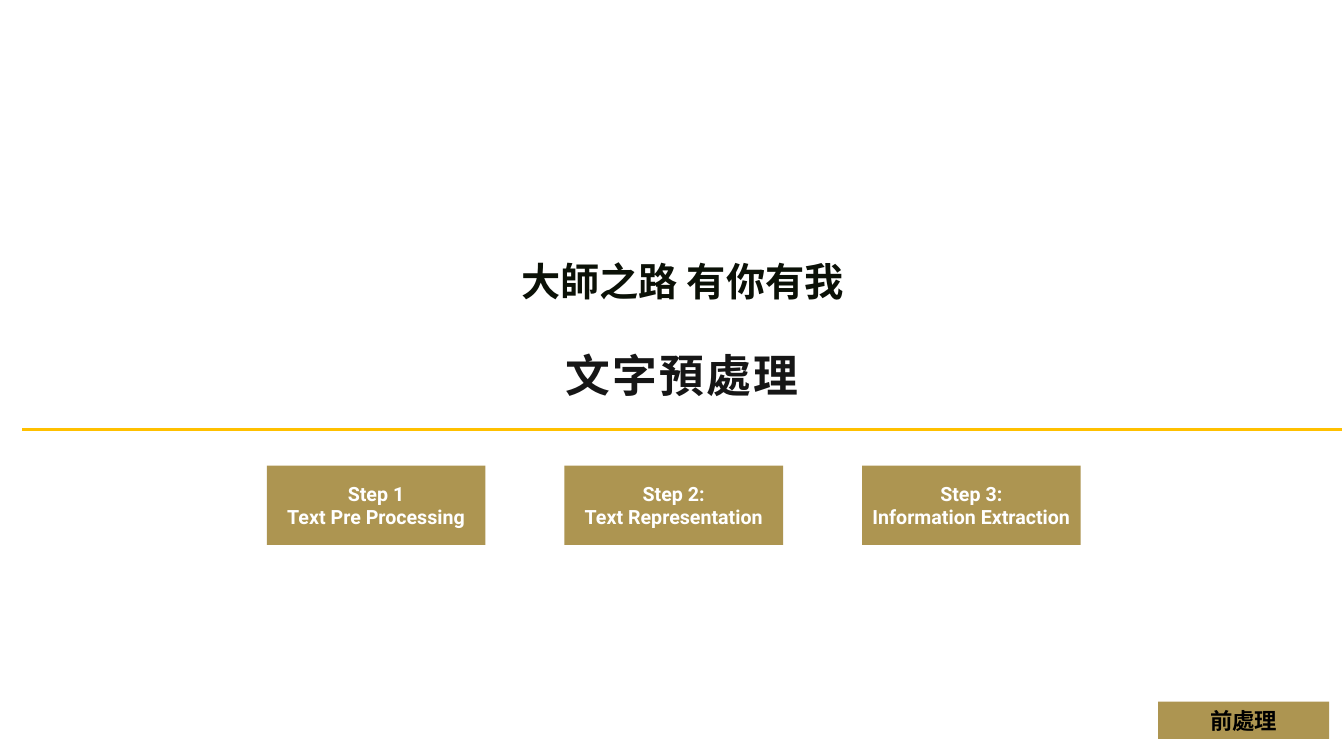
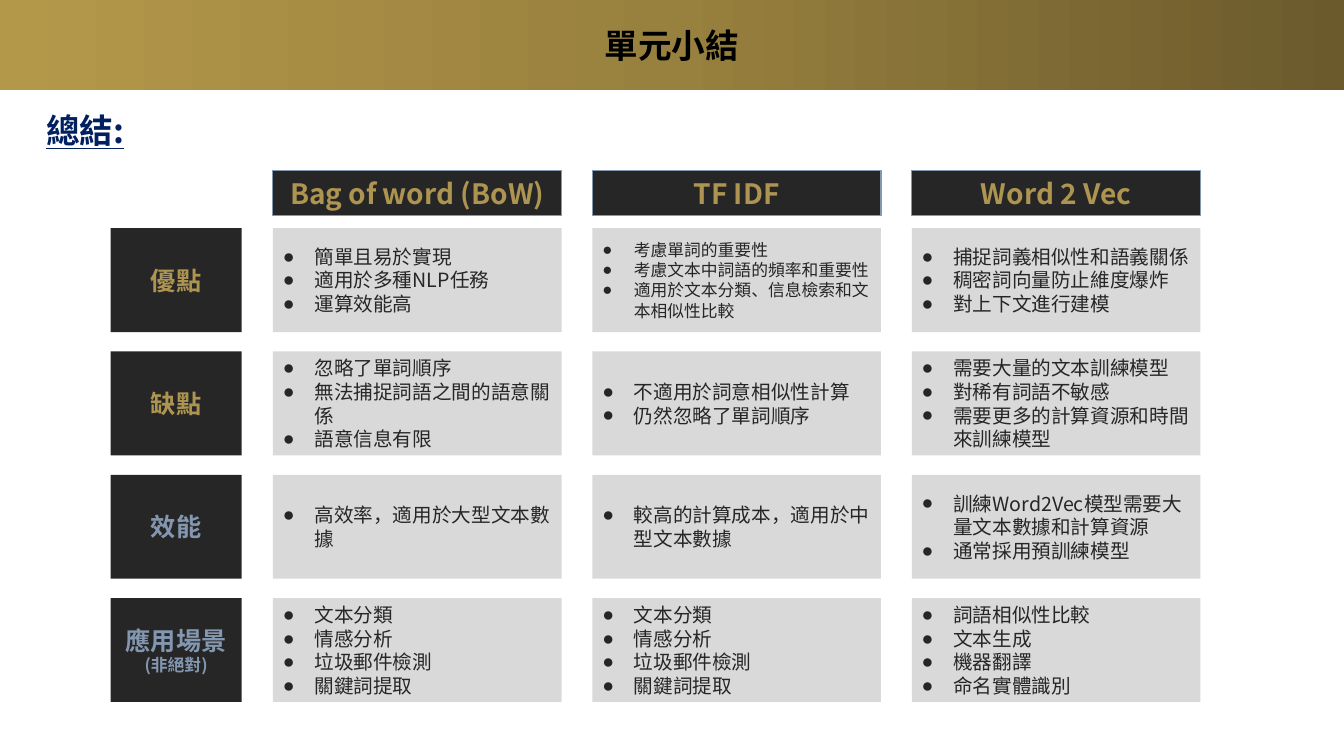
from copy import deepcopy

from lxml.etree import SubElement as Sub
from pptx import Presentation
from pptx.dml.color import RGBColor
from pptx.enum.shapes import MSO_CONNECTOR as Conn, MSO_SHAPE as Shape
from pptx.enum.text import MSO_ANCHOR as Anchor, MSO_AUTO_SIZE as Auto, PP_ALIGN as Align
from pptx.oxml.ns import qn
from pptx.util import Pt

GOLD, DARK, GREY, BLUE, BLACK = "AD9551", "262626", "D9D9D9", "8497B0", "000000"
CJK = "Noto Sans CJK SC"

HEADS = ["Bag of word (BoW)", "TF IDF", "Word 2 Vec"]
USES = ["文本分類", "情感分析", "垃圾郵件檢測", "關鍵詞提取"]
# Label, small note, label colour, one list of points per column
ROWS = [
    ("優點", "", GOLD, [
        ["簡單且易於實現", "適用於多種NLP任務", "運算效能高"],
        ["考慮單詞的重要性", "考慮文本中詞語的頻率和重要性",
         "適用於文本分類、信息檢索和文本相似性比較"],
        ["捕捉詞義相似性和語義關係", "稠密詞向量防止維度爆炸", "對上下文進行建模"]]),
    ("缺點", "", GOLD, [
        ["忽略了單詞順序", "無法捕捉詞語之間的語意關係", "語意信息有限"],
        ["不適用於詞意相似性計算", "仍然忽略了單詞順序"],
        ["需要大量的文本訓練模型", "對稀有詞語不敏感",
         "需要更多的計算資源和時間來訓練模型"]]),
    ("效能", "", BLUE, [
        ["高效率，適用於大型文本數據"],
        ["較高的計算成本，適用於中型文本數據"],
        ["訓練Word2Vec模型需要大量文本數據和計算資源", "通常採用預訓練模型"]]),
    ("應用場景", "(非絕對)", BLUE, [
        USES, USES, ["詞語相似性比較", "文本生成", "機器翻譯", "命名實體識別"]]),
]
STEPS = [("Step 1", "Text Pre Processing"),
         ("Step 2:", "Text Representation"),
         ("Step 3:", "Information Extraction")]


def rgb(code):
    return RGBColor.from_string(code)


def write(shape, lines, size, color, bold=True, name=CJK, align=Align.CENTER,
          anchor=Anchor.MIDDLE, bullet=False):
    """Fill a shape with one paragraph per line."""
    frame = shape.text_frame
    frame.word_wrap, frame.auto_size = True, Auto.NONE
    frame.vertical_anchor = anchor
    frame.text = "\n".join(lines)
    for para in frame.paragraphs:
        para.alignment = align
        props = para._p.get_or_add_pPr()
        if bullet:
            props.set("marL", str(Pt(22.5)))
            props.set("indent", str(-Pt(22.5)))
            Sub(props, qn("a:buFont")).set("typeface", "Arial")
            Sub(props, qn("a:buChar")).set("char", "●")
        font = para.font
        font.size, font.bold, font.name = Pt(size), bold, name
        font.color.rgb = rgb(color)
        # East Asian face follows the Latin one
        Sub(props.find(qn("a:defRPr")), qn("a:ea")).set("typeface", CJK)
    return frame


def block(slide, box, fill, edge=None):
    shape = slide.shapes.add_shape(Shape.RECTANGLE, *map(Pt, box))
    shape.shadow.inherit = False
    shape.fill.solid()
    shape.fill.fore_color.rgb = rgb(fill)
    if edge:
        shape.line.color.rgb = rgb(edge)
        shape.line.width = Pt(0.75)
    else:
        shape.line.fill.background()
    return shape


def label(slide, box):
    return slide.shapes.add_textbox(*map(Pt, box))


def title(slide, box, text, size, color, name=CJK):
    shape = slide.shapes.title
    shape.left, shape.top, shape.width, shape.height = map(Pt, box)
    write(shape, [text], size, color, name=name)
    return shape


def rule(slide, left, right, top):
    line = slide.shapes.add_connector(Conn.STRAIGHT, Pt(left), Pt(top), Pt(right), Pt(top))
    line.line.color.rgb = rgb("FFC000")
    line.line.width = Pt(2.25)
    Sub(line._element.spPr, qn("a:effectLst"))


def band(slide, box, text):
    """Title on a gradient band, light on the left."""
    shape = title(slide, box, text, 24, BLACK)
    shape.fill.gradient()
    shape.fill.gradient_angle = 180
    stops = shape.fill.gradient_stops
    stops[0].color.rgb, stops[0].position = rgb("6B5A2C"), 0
    stops[1].color.rgb, stops[1].position = rgb("98803E"), 0.5
    mid = shape._element.spPr.findall(".//" + qn("a:gs"))[1]
    mid.addnext(deepcopy(mid))
    last = shape.fill.gradient_stops[2]
    last.color.rgb, last.position = rgb("B4984A"), 1


def steps(slide, box):
    left, top, width, height = box
    wide = 156.2
    pitch = (width - wide) / (len(STEPS) - 1)
    for i, lines in enumerate(STEPS):
        shape = block(slide, (left + i * pitch, top, wide, height), GOLD)
        write(shape, lines, 14, "FFFFFF", name="Roboto")


def grid(slide, box):
    """Comparison: row labels on the left, one column per method."""
    left, top, width, height = box
    side, wide, head, tall = 93.6, 206.2, 31.7, 74.2
    first, start = left + 116, top + 41
    across = (left + width - wide - first) / (len(HEADS) - 1)
    down = (top + height - tall - start) / (len(ROWS) - 1)
    for col, text in enumerate(HEADS):
        shape = block(slide, (first + col * across, top, wide, head), DARK, BLUE)
        write(shape, [text], 20, GOLD)
    for row, (name, note, color, cells) in enumerate(ROWS):
        y = start + row * down
        frame = write(block(slide, (left, y, side, tall), DARK), [name], 18, color)
        if note:
            run = frame.paragraphs[0].add_run()
            run.text, run.font.size = note, Pt(12)
        for col, points in enumerate(cells):
            shape = block(slide, (first + col * across, y, wide, tall), GREY)
            size = 12 if (row, col) == (0, 1) else 14
            write(shape, points, size, DARK, False, align=Align.LEFT, bullet=True)


def cover(slide):
    rule(slide, 15.8, 958.5, 306.7)
    topic = write(label(slide, (264, 224, 446, 91.4)), ["文字預處理"], 32, "161616")
    para = topic.paragraphs[0]
    para.line_spacing = 0.9
    para._p.pPr.find(qn("a:defRPr")).set("spc", "150")
    head = title(slide, (38.2, 172.8, 898.6, 60.5), "大師之路 有你有我", 28, "0B1107", "Calibri")
    head.text_frame.paragraphs[0].line_spacing = 0.9
    write(block(slide, (827.2, 501.2, 122.2, 26.6), GOLD), ["前處理"], 16, BLACK)
    steps(slide, (190.6, 332.6, 581.4, 56.7))


def recap(slide):
    band(slide, (0, 0, 960, 64.2), "單元小結")
    frame = write(label(slide, (25.8, 74.8, 480, 36.3)), ["總結:"], 24, "002060",
                  align=Align.LEFT, anchor=Anchor.TOP)
    frame.paragraphs[0].font.underline = True
    grid(slide, (79, 122, 778.5, 379.4))


def main():
    deck = Presentation()
    deck.slide_width, deck.slide_height = Pt(960), Pt(540)
    for build in (cover, recap):
        build(deck.slides.add_slide(deck.slide_layouts[5]))
    deck.save("out.pptx")


if __name__ == "__main__":
    main()
